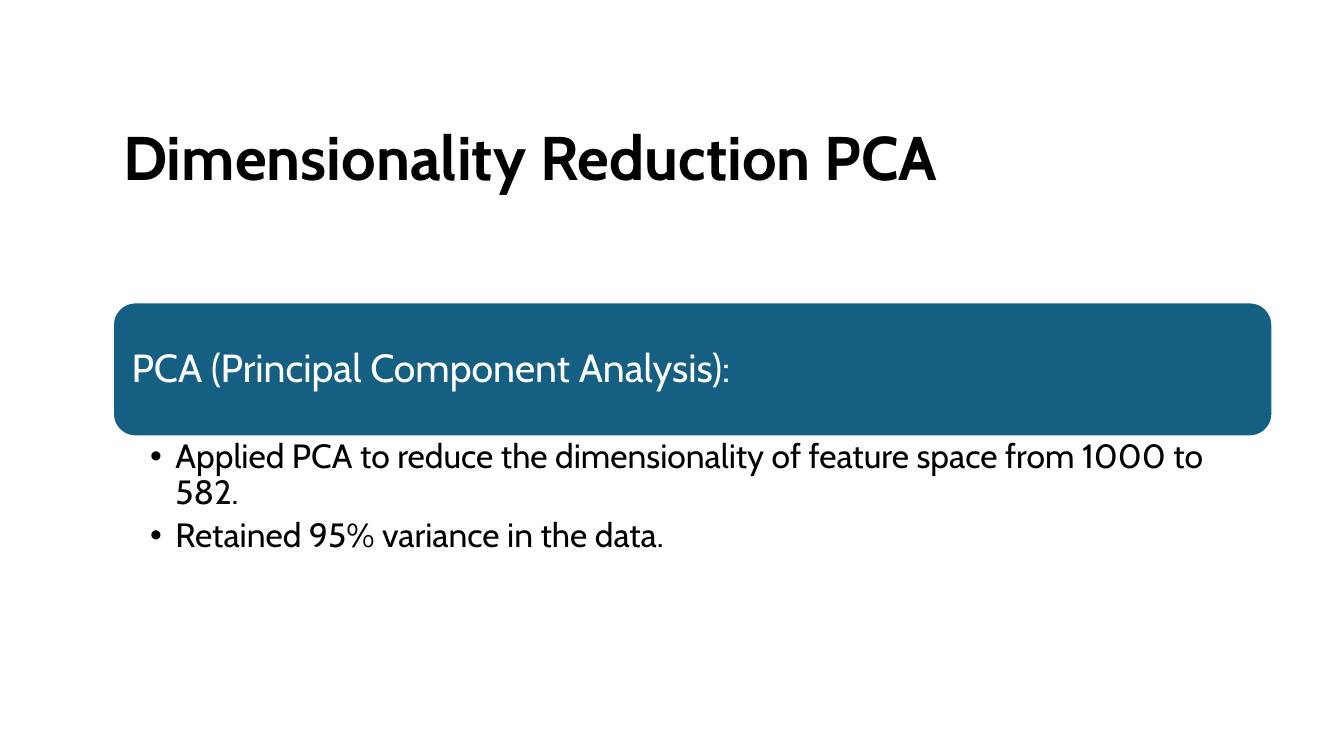
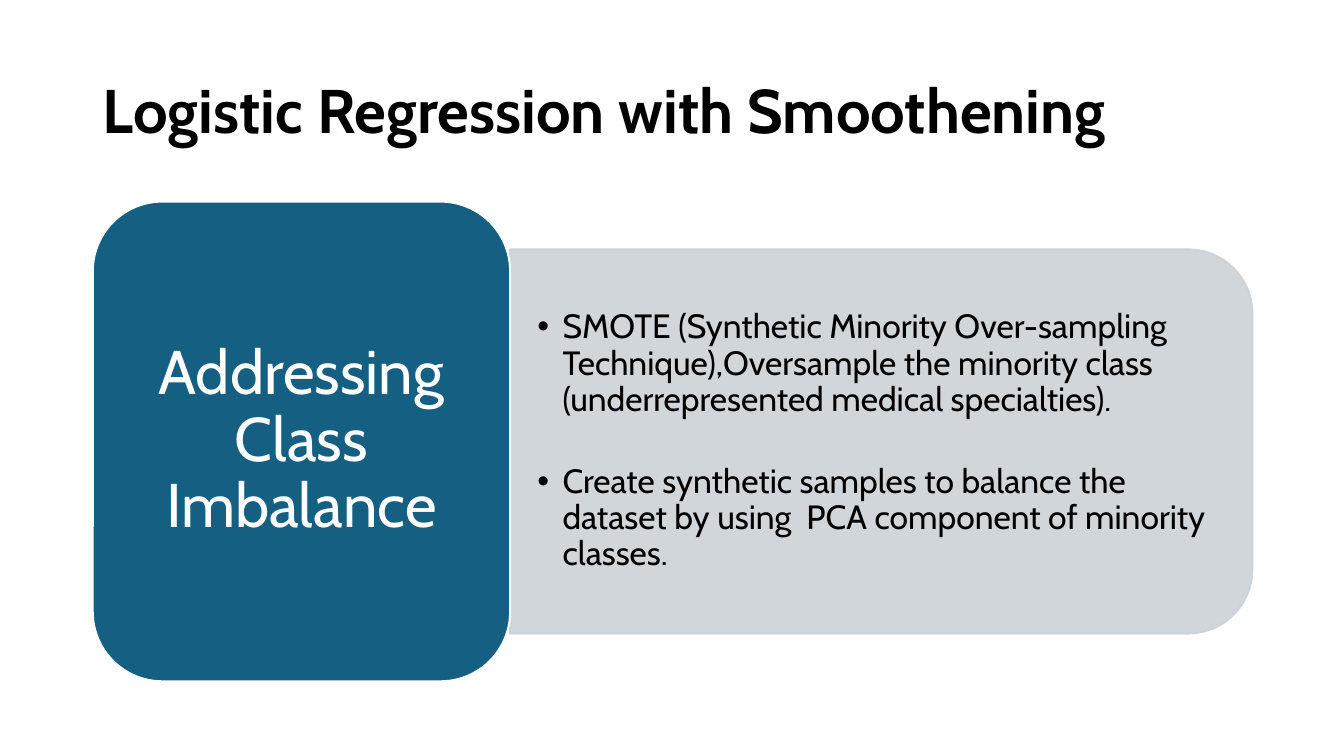
import pptx
import pptx.util
import pptx.dml.color
import pptx.enum.shapes
import pptx.enum.text
import pptx.oxml.ns
from lxml import etree

Inches = pptx.util.Inches
Pt = pptx.util.Pt
RGBColor = pptx.dml.color.RGBColor
Shape = pptx.enum.shapes.MSO_SHAPE
Align = pptx.enum.text.PP_ALIGN
Anchor = pptx.enum.text.MSO_ANCHOR
qn = pptx.oxml.ns.qn

BLUE = RGBColor(0x15, 0x60, 0x82)
GREY = RGBColor(0xCC, 0xD2, 0xD8)
WHITE = RGBColor(0xFF, 0xFF, 0xFF)
BLACK = RGBColor(0, 0, 0)
FONT = "Cabin"
WIDTH = 11.5

PCA = {
    "title": "Dimensionality Reduction PCA",
    "head": "PCA (Principal Component Analysis):",
    "items": [
        "Applied PCA to reduce the dimensionality of feature space from 1000 to 582.",
        "Retained 95% variance in the data.",
    ],
}
SMOTE = {
    "title": "Logistic Regression with Smoothening",
    "head": "Addressing Class Imbalance",
    "items": [
        "SMOTE (Synthetic Minority Over-sampling Technique),Oversample the minority class (underrepresented medical specialties).",
        "Create synthetic samples to balance the dataset by using  PCA component of minority classes.",
    ],
}


def place(shape, left, top, width, height):
    shape.left, shape.top = Inches(left), Inches(top)
    shape.width, shape.height = Inches(width), Inches(height)


def set_frame(frame, side, edge, anchor):
    frame.word_wrap = True
    frame.auto_size = pptx.enum.text.MSO_AUTO_SIZE.NONE
    frame.vertical_anchor = anchor
    frame.margin_left = frame.margin_right = Inches(side)
    frame.margin_top = frame.margin_bottom = Inches(edge)


def write(para, text, size, color, align=Align.LEFT, bold=False):
    para.alignment = align
    para.line_spacing = 0.9
    run = para.add_run()
    run.text = text
    font = run.font
    font.name, font.size, font.bold = FONT, Pt(size), bold
    font.color.rgb = color


def add_page(deck, text, left, top):
    page = deck.slides.add_slide(deck.slide_layouts[5])
    title = page.shapes.title
    place(title, left, top, WIDTH, 1.45)
    set_frame(title.text_frame, 0.1, 0.05, Anchor.MIDDLE)
    write(title.text_frame.paragraphs[0], text, 44, BLACK, bold=True)
    return page


def add_block(page, kind, box, fill, line):
    shape = page.shapes.add_shape(kind, *map(Inches, box))
    shape.shadow.inherit = False
    shape.fill.solid()
    shape.fill.fore_color.rgb = fill
    shape.line.color.rgb = line
    shape.line.width = Pt(1.5)
    return shape


def add_card(page, box, text, size, side, edge, align):
    card = add_block(page, Shape.ROUNDED_RECTANGLE, box, BLUE, WHITE)
    set_frame(card.text_frame, side, edge, Anchor.MIDDLE)
    write(card.text_frame.paragraphs[0], text, size, WHITE, align)


def add_list(page, box, items, side, edge, anchor, gap):
    frame = page.shapes.add_textbox(*map(Inches, box)).text_frame
    set_frame(frame, side, edge, anchor)
    for i, item in enumerate(items):
        para = frame.paragraphs[0] if i == 0 else frame.add_paragraph()
        write(para, item, 24, BLACK)
        para.space_after = Pt(gap if i < len(items) - 1 else 0)
        props = para._p.get_or_add_pPr()
        props.set("marL", str(Inches(0.25)))
        props.set("indent", str(-Inches(0.25)))
        etree.SubElement(props, qn("a:buFont")).set("typeface", "Arial")
        etree.SubElement(props, qn("a:buChar")).set("char", "•")
    return frame


def add_panel(page, left, top, width, height):
    shift = (width - height) / 2
    box = (left + shift, top - shift, height, width)
    panel = add_block(page, Shape.ROUND_2_SAME_RECTANGLE, box, GREY, GREY)
    panel.rotation = 90
    for color in panel._element.spPr.iter(qn("a:srgbClr")):
        etree.SubElement(color, qn("a:alpha")).set("val", "90000")


def build_pca(deck):
    left, top, high = 1.12, 3, 1.33
    page = add_page(deck, PCA["title"], left, 0.87)
    add_card(page, (left, top, WIDTH, high), PCA["head"], 28, 0.12, 0.12, Align.LEFT)
    frame = add_list(page, (left, top + high, WIDTH, 1.18), PCA["items"],
                     0.37, 0.03, Anchor.TOP, 4.8)
    frame.margin_right = Inches(0.19)


def build_smote(deck):
    left, top, wide, high = 0.92, 2, 4.14, 4.76
    side, tall = left + wide, 3.81
    span = WIDTH - wide
    page = add_page(deck, SMOTE["title"], left, 0.4)
    add_panel(page, side, top + (high - tall) / 2, span, tall)
    add_list(page, (side, 2.66, span - 0.19, 3.44), SMOTE["items"],
             0.27, 0.14, Anchor.MIDDLE, 32.7)
    add_card(page, (left, top, wide, high), SMOTE["head"], 44, 0.18, 0.09, Align.CENTER)


def main():
    deck = pptx.Presentation()
    deck.slide_width, deck.slide_height = Inches(13.33), Inches(7.5)
    build_pca(deck)
    build_smote(deck)
    deck.save("out.pptx")


if __name__ == "__main__":
    main()
